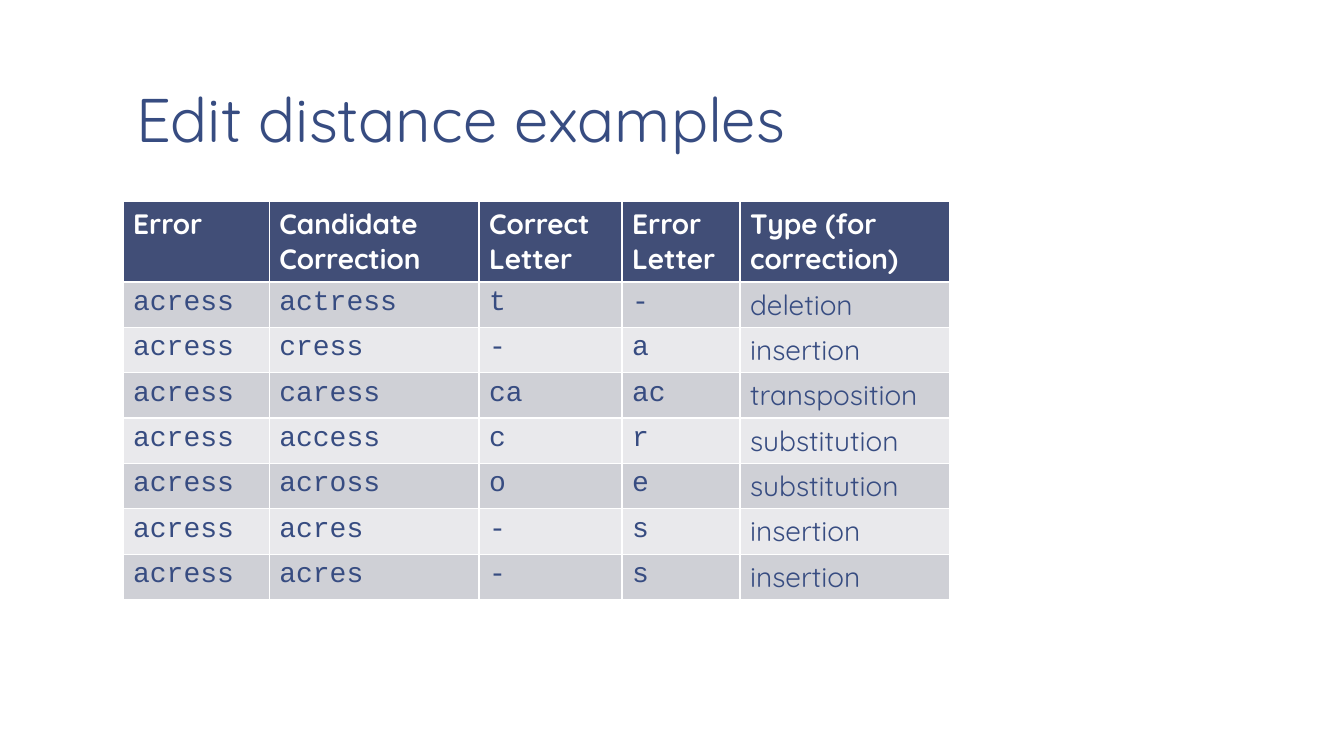
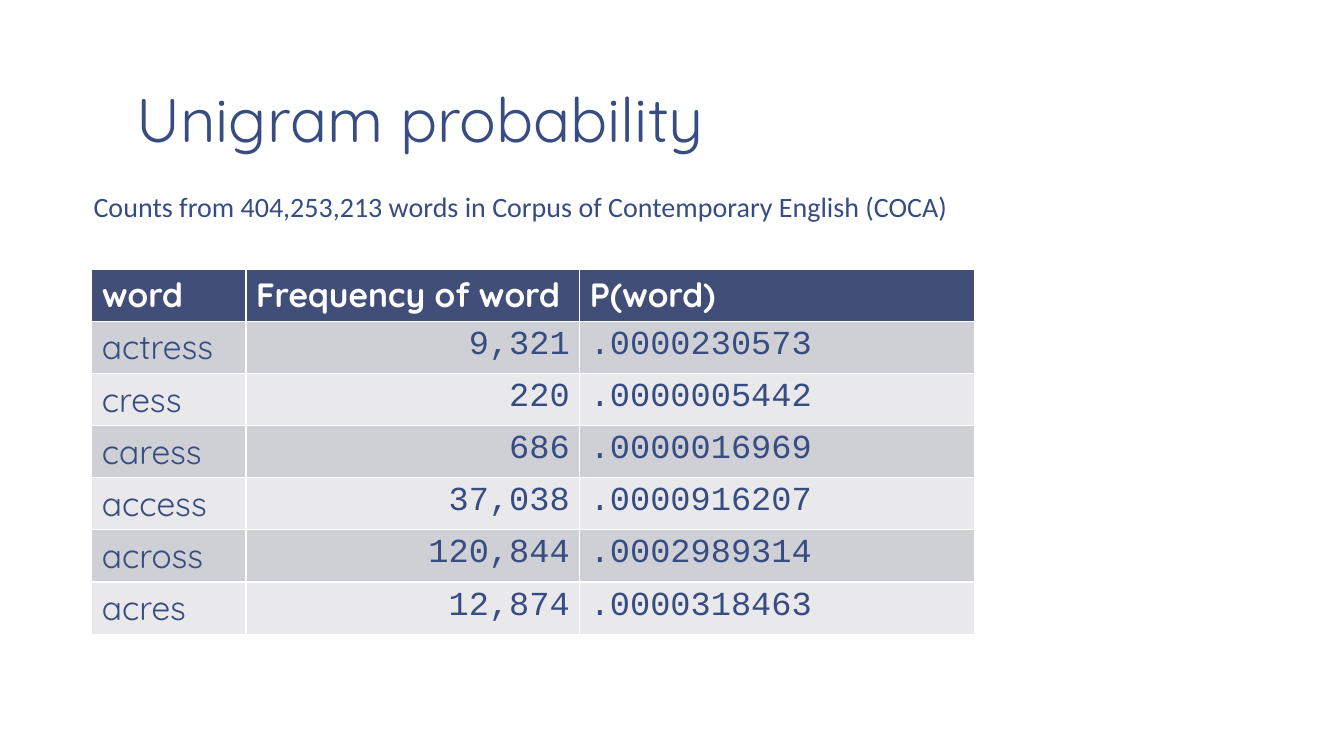
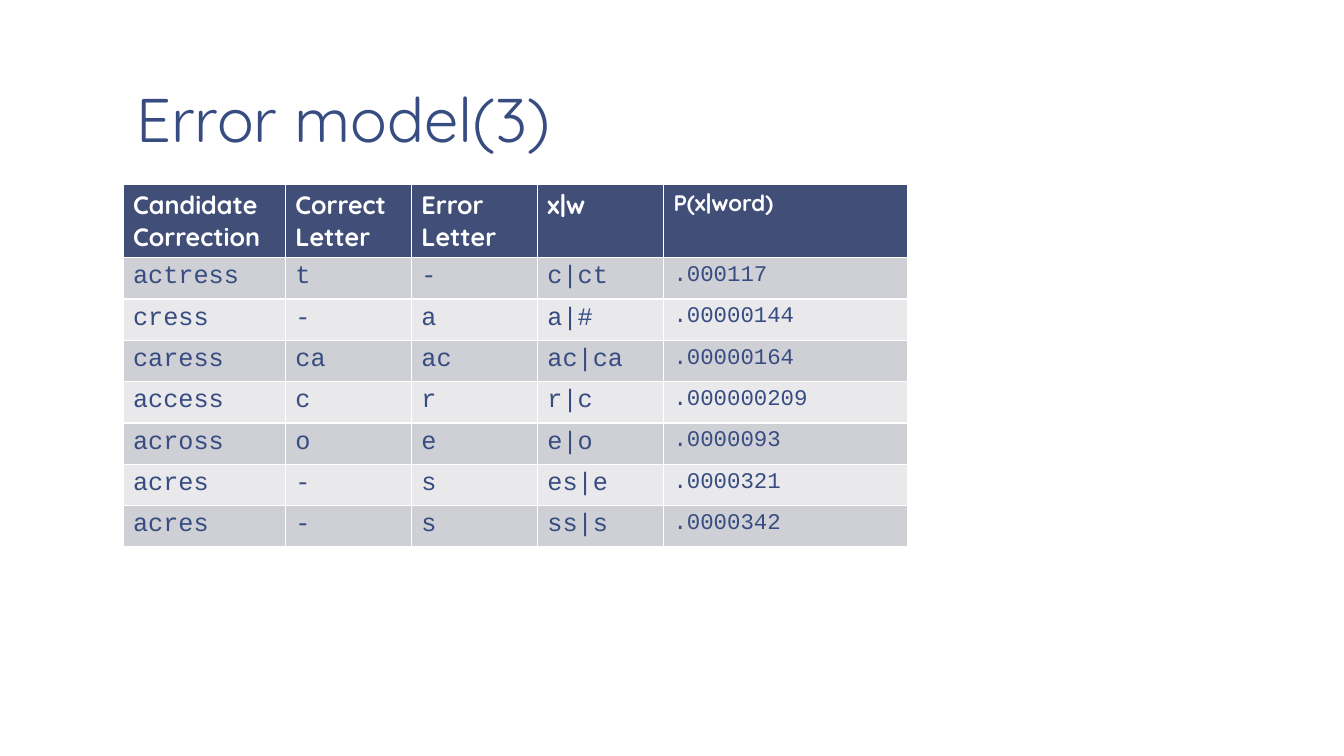
import pptx
import pptx.util
from pptx.dml.color import RGBColor
from pptx.enum.text import MSO_ANCHOR, MSO_AUTO_SIZE, PP_ALIGN

Inches, Pt = pptx.util.Inches, pptx.util.Pt

# Shared look
COLORS = {"ink": "374C81", "header": "414E77", "header_text": "FFFFFF",
          "odd_row": "CFD0D6", "even_row": "E9E9EC"}
SANS, MONO, CAPTION = "Quicksand", "Courier New", "Calibri"
LEFT, RIGHT = PP_ALIGN.LEFT, PP_ALIGN.RIGHT
TITLE_BOX = (1.22, 0.08, 11.11, 1.53)

# Content: each column is (heading, width, body font, size, body alignment)
SLIDES = [
    {
        "title": "Edit distance examples",
        "corner": (1.22, 2), "header_height": 0.79, "row_height": 0.45,
        "columns": [
            ("Error", 1.45, MONO, 20, LEFT),
            ("Candidate Correction", 2.08, MONO, 20, LEFT),
            ("Correct Letter", 1.42, MONO, 20, LEFT),
            ("Error Letter", 1.17, MONO, 20, LEFT),
            ("Type (for correction)", 2.08, SANS, 20, LEFT),
        ],
        "rows": [
            ("acress", "actress", "t", "-", "deletion"),
            ("acress", "cress", "-", "a", "insertion"),
            ("acress", "caress", "ca", "ac", "transposition"),
            ("acress", "access", "c", "r", "substitution"),
            ("acress", "across", "o", "e", "substitution"),
            ("acress", "acres", "-", "s", "insertion"),
            ("acress", "acres", "-", "s", "insertion"),
        ],
    },
    {
        "title": "Unigram probability",
        "caption": "Counts from 404,253,213 words in Corpus of Contemporary English (COCA)",
        "caption_box": (0.83, 1.83, 8.83, 0.44),
        "corner": (0.91, 2.67), "header_height": 0.51, "row_height": 0.51,
        "columns": [
            ("word", 1.53, SANS, 24, LEFT),
            ("Frequency of word", 3.31, MONO, 24, RIGHT),
            ("P(word)", 3.92, MONO, 24, LEFT),
        ],
        "rows": [
            ("actress", "9,321", ".0000230573"),
            ("cress", "220", ".0000005442"),
            ("caress", "686", ".0000016969"),
            ("access", "37,038", ".0000916207"),
            ("across", "120,844", ".0002989314"),
            ("acres", "12,874", ".0000318463"),
        ],
    },
    {
        "title": "Error model(3)",
        "corner": (1.22, 1.83), "header_height": 0.71, "row_height": 0.41,
        "columns": [
            ("Candidate Correction", 1.61, MONO, 18, LEFT),
            ("Correct Letter", 1.25, MONO, 18, LEFT),
            ("Error Letter", 1.25, MONO, 18, LEFT),
            ("x|w", 1.25, MONO, 18, LEFT),
            ("P(x|word)", 2.42, MONO, 16, LEFT),
        ],
        "rows": [
            ("actress", "t", "-", "c|ct", ".000117"),
            ("cress", "-", "a", "a|#", ".00000144"),
            ("caress", "ca", "ac", "ac|ca", ".00000164"),
            ("access", "c", "r", "r|c", ".000000209"),
            ("across", "o", "e", "e|o", ".0000093"),
            ("acres", "-", "s", "es|e", ".0000321"),
            ("acres", "-", "s", "ss|s", ".0000342"),
        ],
    },
]


def write(frame, text, font, size, color="ink", bold=False, align=LEFT):
    paragraph = frame.paragraphs[0]
    paragraph.alignment = align
    run = paragraph.add_run()
    run.text = text
    run.font.name, run.font.size, run.font.bold = font, Pt(size), bold
    run.font.color.rgb = RGBColor.from_string(COLORS[color])
    return paragraph


def add_title(slide, text):
    title = slide.shapes.title
    title.left, title.top, title.width, title.height = map(Inches, TITLE_BOX)
    frame = title.text_frame
    frame.auto_size = MSO_AUTO_SIZE.NONE
    frame.vertical_anchor = MSO_ANCHOR.BOTTOM
    frame.margin_left = frame.margin_right = Inches(0.13)
    frame.margin_top = frame.margin_bottom = Inches(0.07)
    write(frame, text, SANS, 44).line_spacing = 0.85


def fill_cell(cell, color):
    cell.fill.solid()
    cell.fill.fore_color.rgb = RGBColor.from_string(COLORS[color])


def add_word_table(slide, content):
    columns, rows = content["columns"], content["rows"]
    heights = [content["header_height"]] + [content["row_height"]] * len(rows)
    width = sum(column[1] for column in columns)
    # The default table style supplies the white rules between cells
    table = slide.shapes.add_table(
        len(heights), len(columns), *map(Inches, content["corner"]),
        Inches(width), Inches(sum(heights))).table
    for row, height in zip(table.rows, heights):
        row.height = Inches(height)
    for c, (heading, column_width, font, size, align) in enumerate(columns):
        table.columns[c].width = Inches(column_width)
        header = table.cell(0, c)
        fill_cell(header, "header")
        write(header.text_frame, heading, SANS, size, "header_text", bold=True)
        for r, values in enumerate(rows, start=1):
            cell = table.cell(r, c)
            fill_cell(cell, "odd_row" if r % 2 else "even_row")
            write(cell.text_frame, values[c], font, size, align=align)


def add_caption(slide, text, box):
    frame = slide.shapes.add_textbox(*map(Inches, box)).text_frame
    frame.word_wrap = True
    write(frame, text, CAPTION, 20)


def main():
    deck = pptx.Presentation()
    deck.slide_width, deck.slide_height = Inches(13.33), Inches(7.5)
    title_only = deck.slide_layouts[5]
    for content in SLIDES:
        slide = deck.slides.add_slide(title_only)
        add_title(slide, content["title"])
        add_word_table(slide, content)
        if "caption" in content:
            add_caption(slide, content["caption"], content["caption_box"])
    deck.save("out.pptx")


if __name__ == "__main__":
    main()
